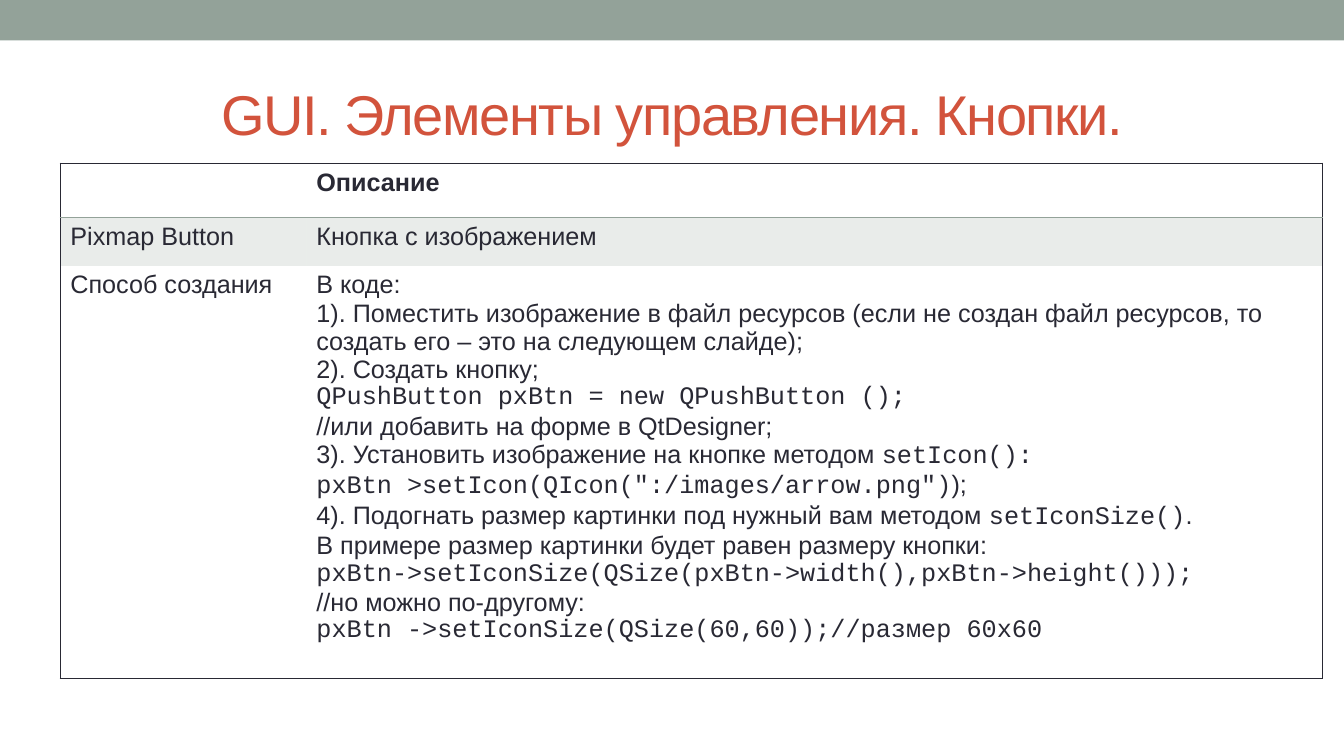
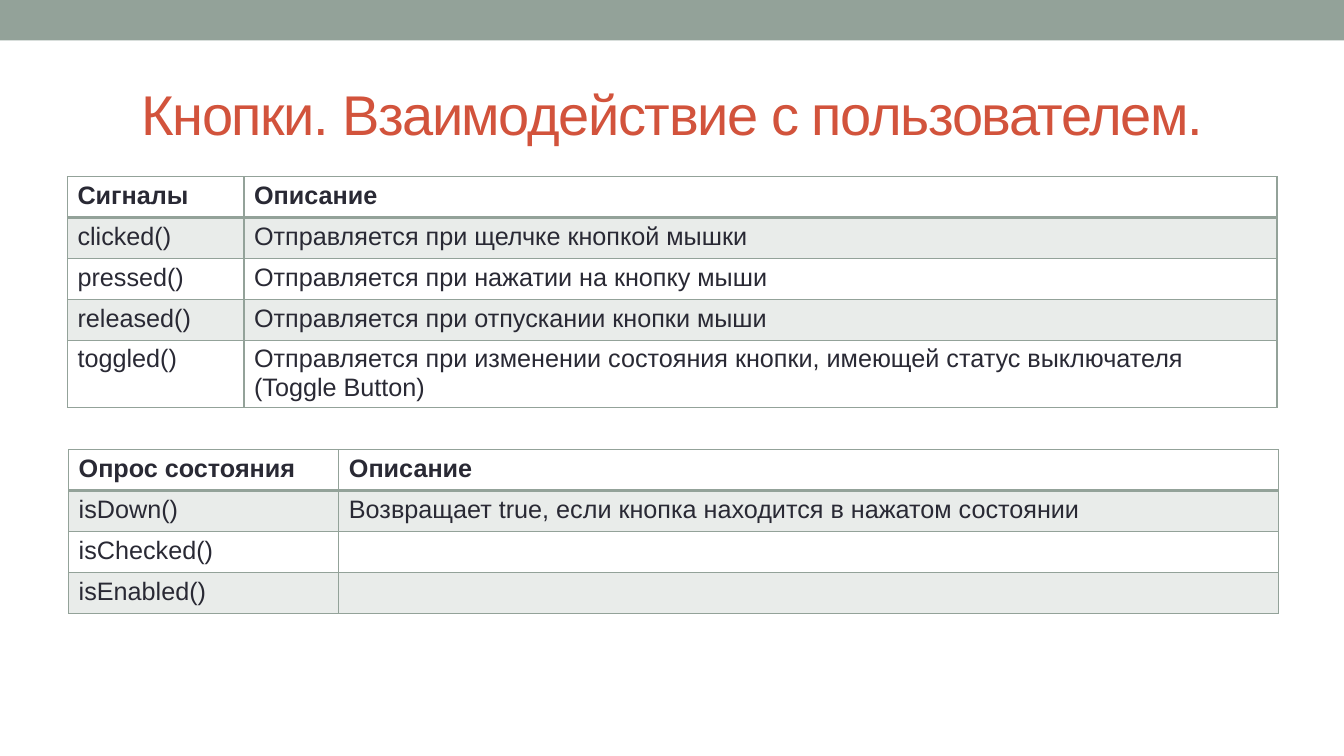
"""Two slides on Qt buttons: creating a pixmap button, signals and state queries."""
from dataclasses import dataclass

from lxml import etree
from pptx import Presentation
from pptx.dml.color import RGBColor
from pptx.enum.shapes import MSO_SHAPE
from pptx.enum.text import MSO_ANCHOR, MSO_AUTO_SIZE, PP_ALIGN
from pptx.oxml.ns import qn
from pptx.util import Cm, Pt

RECTANGLE = MSO_SHAPE.RECTANGLE
MIDDLE = MSO_ANCHOR.MIDDLE
NO_AUTOFIT = MSO_AUTO_SIZE.NONE
CENTER = PP_ALIGN.CENTER
TITLE_ONLY = 5
PLAIN_TABLE_STYLE = "{2D5ABB26-0587-4C30-8999-92F81FD0307C}"


@dataclass(frozen=True)
class Theme:
    """Colours, fonts and type sizes of the deck."""
    ink: str = "292934"
    accent: str = "D2533C"
    sage: str = "93A299"
    stripe_alpha: int = 20000
    text_font: str = "Arial"
    code_font: str = "Courier New"
    title_size: int = 40
    cell_size: int = 18
    title_spacing: int = -100


THEME = Theme()
SLIDE_SIZE = (33.87, 19.05)
BAND_HEIGHT = 1.02
TITLE_PLACE = {"left": 1.7, "top": 1.47, "width": 30.48, "height": 2.74}

FRAMED = {"outer": (THEME.ink, 1), "header": (THEME.sage, 1), "inner": None}
GRID = {"outer": (THEME.sage, 1), "header": (THEME.sage, 2), "inner": (THEME.sage, 1)}

# Within a paragraph tuple, runs alternate: text, code, text.
CREATION_STEPS = [
    ("В коде:",),
    ("1). Поместить изображение в файл ресурсов (если не создан файл ресурсов, то "
     "создать его – это на следующем слайде);",),
    ("2). Создать кнопку;",),
    ("", "QPushButton pxBtn = new QPushButton ();"),
    ("//или добавить на форме в QtDesigner;",),
    ("3). Установить изображение на кнопке методом ", "setIcon():"),
    ("", 'pxBtn >setIcon(QIcon(":/images/arrow.png")', ");"),
    ("4). Подогнать размер картинки под нужный вам методом ", "setIconSize()", "."),
    ("В примере размер картинки будет равен размеру кнопки:",),
    ("", "pxBtn->setIconSize(QSize(pxBtn->width(),pxBtn->height()));"),
    ("//но можно по-другому:",),
    ("", "pxBtn ->setIconSize(QSize(60,60));//размер 60х60"),
]

SLIDES = [
    {"title": "GUI. Элементы управления. Кнопки.", "tables": [
        {"at": (1.52, 4.11), "columns": (6.2, 25.6), "heights": (1.37, 1.22, 10.39),
         "borders": FRAMED, "rows": [
             ("", "Описание"),
             ("Pixmap Button", "Кнопка с изображением"),
             ("Способ создания", CREATION_STEPS)]}]},
    {"title": "Кнопки. Взаимодействие с пользователем.", "tables": [
        {"at": (1.7, 4.45), "columns": (4.45, 26.03), "heights": (1.03,) * 4 + (1.69,),
         "borders": GRID, "rows": [
             ("Сигналы", "Описание"),
             ("clicked()", "Отправляется при щелчке кнопкой мышки"),
             ("pressed()", "Отправляется при нажатии на кнопку мыши"),
             ("released()", "Отправляется при отпускании кнопки мыши"),
             ("toggled()", "Отправляется при изменении состояния кнопки, имеющей "
                           "статус выключателя (Toggle Button)")]},
        {"at": (1.73, 11.33), "columns": (6.81, 23.67), "heights": (1.03,) * 4,
         "borders": GRID, "rows": [
             ("Опрос состояния", "Описание"),
             ("isDown()", "Возвращает true, если кнопка находится в нажатом состоянии"),
             ("isChecked()", ""),
             ("isEnabled()", "")]}]},
]


def set_font(font, name, size, color, bold=False):
    """Apply one type style."""
    for attribute, value in {"name": name, "size": Pt(size), "bold": bold}.items():
        setattr(font, attribute, value)
    font.color.rgb = RGBColor.from_string(color)


def add_master_band(prs, slide):
    """Put the top band on the master, behind its placeholders."""
    band = slide.shapes.add_shape(RECTANGLE, 0, 0, prs.slide_width, Cm(BAND_HEIGHT))
    band.shadow.inherit = False
    band.fill.solid()
    band.fill.fore_color.rgb = RGBColor.from_string(THEME.sage)
    band.line.fill.background()
    band.element.nvSpPr.cNvPr.id = 20
    prs.slide_master.shapes.element.insert(2, band.element)


def set_title(slide, text):
    """Place and format the title placeholder."""
    title = slide.shapes.title
    for side, length in TITLE_PLACE.items():
        setattr(title, side, Cm(length))
    frame = title.text_frame
    for attribute, value in {"text": text, "vertical_anchor": MIDDLE,
                             "auto_size": NO_AUTOFIT, "word_wrap": True}.items():
        setattr(frame, attribute, value)
    paragraph = frame.paragraphs[0]
    paragraph.alignment = CENTER
    run = paragraph.runs[0]
    set_font(run.font, THEME.text_font, THEME.title_size, THEME.accent)
    run.font._element.set("spc", str(THEME.title_spacing))


def write_cell(cell, content, bold):
    """Write paragraphs whose runs alternate between text and code fonts."""
    paragraphs = [(content,)] if isinstance(content, str) else content
    for index, pieces in enumerate(paragraphs):
        frame = cell.text_frame
        paragraph = frame.add_paragraph() if index else frame.paragraphs[0]
        set_font(paragraph.font, THEME.text_font, THEME.cell_size, THEME.ink, bold)
        for position, piece in enumerate(pieces):
            if piece:
                run = paragraph.add_run()
                run.text = piece
                font_name = THEME.code_font if position % 2 else THEME.text_font
                set_font(run.font, font_name, THEME.cell_size, THEME.ink, bold)


def set_borders(cell, sides):
    """Draw the cell's sides; None leaves a side without a line."""
    properties = cell._tc.get_or_add_tcPr()
    for tag, border in sides.items():
        line = etree.SubElement(properties, qn(f"a:{tag}"))
        if border is None:
            etree.SubElement(line, qn("a:noFill"))
            continue
        color, width = border
        line.set("w", str(Pt(width)))
        fill = etree.SubElement(line, qn("a:solidFill"))
        etree.SubElement(fill, qn("a:srgbClr"), val=color)


def fill_cell(cell, striped):
    """Give striped rows a translucent fill and the others none."""
    if not striped:
        cell.fill.background()
        return
    cell.fill.solid()
    cell.fill.fore_color.rgb = RGBColor.from_string(THEME.sage)
    color = cell._tc.tcPr.find(f"{qn('a:solidFill')}/{qn('a:srgbClr')}")
    etree.SubElement(color, qn("a:alpha"), val=str(THEME.stripe_alpha))


def add_table(slide, at, columns, heights, borders, rows):
    """Add a table with a ruled header and striped odd rows."""
    left, top = at
    frame = slide.shapes.add_table(len(rows), len(columns), Cm(left), Cm(top),
                                   Cm(sum(columns)), Cm(sum(heights)))
    frame.element.find(f".//{qn('a:tableStyleId')}").text = PLAIN_TABLE_STYLE
    table = frame.table
    for column, width in zip(table.columns, columns):
        column.width = Cm(width)
    for row, height in zip(table.rows, heights):
        row.height = Cm(height)

    def rule(edge, count):
        return borders["outer" if edge in (0, count) else "inner"]

    def row_rule(edge):
        return borders["header"] if edge == 1 else rule(edge, len(rows))

    for r, row in enumerate(rows):
        for c, content in enumerate(row):
            cell = table.cell(r, c)
            write_cell(cell, content, bold=r == 0)
            set_borders(cell, {"lnL": rule(c, len(columns)),
                               "lnR": rule(c + 1, len(columns)),
                               "lnT": row_rule(r), "lnB": row_rule(r + 1)})
            fill_cell(cell, striped=r % 2 == 1)


def main():
    """Build and save the deck."""
    prs = Presentation()
    prs.slide_width, prs.slide_height = map(Cm, SLIDE_SIZE)
    for number, content in enumerate(SLIDES):
        slide = prs.slides.add_slide(prs.slide_layouts[TITLE_ONLY])
        if number == 0:
            add_master_band(prs, slide)
        set_title(slide, content["title"])
        for table in content["tables"]:
            add_table(slide, **table)
    prs.save("out.pptx")


if __name__ == "__main__":
    main()
